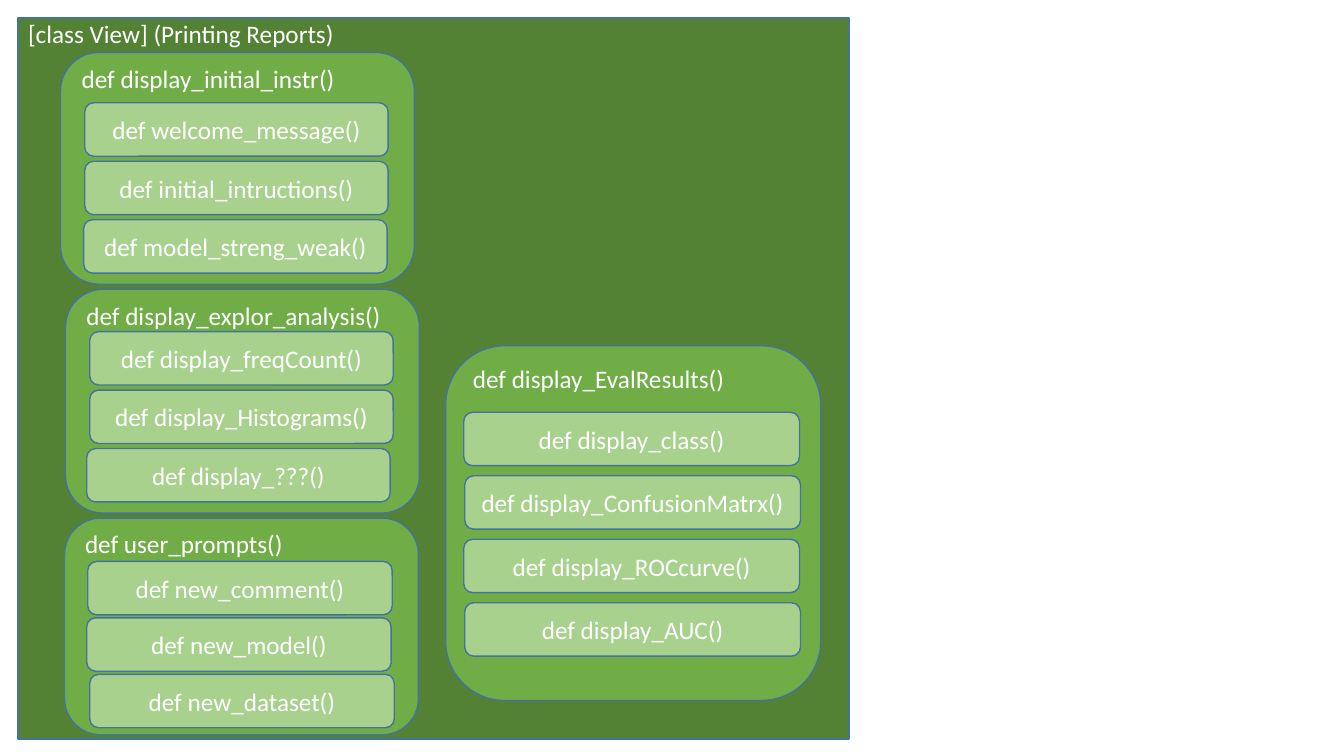
from pptx import Presentation
from pptx.dml.color import RGBColor
from pptx.enum.shapes import MSO_SHAPE
from pptx.enum.text import MSO_ANCHOR, PP_ALIGN
from pptx.util import Inches, Pt

RECTANGLE = MSO_SHAPE.RECTANGLE
ROUNDED = MSO_SHAPE.ROUNDED_RECTANGLE
TOP, MIDDLE = MSO_ANCHOR.TOP, MSO_ANCHOR.MIDDLE
LEFT, CENTER = PP_ALIGN.LEFT, PP_ALIGN.CENTER

DARK_GREEN = RGBColor(0x54, 0x82, 0x35)
GREEN = RGBColor(0x70, 0xAD, 0x47)
LIGHT_GREEN = RGBColor(0xA9, 0xD1, 0x8E)
BLUE = RGBColor(0x43, 0x73, 0x9E)
WHITE = RGBColor(0xFF, 0xFF, 0xFF)

# Each group: title, frame, first method top, pitch, method width,
# then the methods with their left edges
GROUPS = [
    ("def display_initial_instr()", (0.6, 0.52, 3.51, 2.3), 1.02, 0.58, 3.01,
     [("def welcome_message()", 0.84),
      ("def initial_intructions()", 0.84),
      ("def model_streng_weak()", 0.83)]),
    ("def display_explor_analysis()", (0.65, 2.87, 3.51, 2.22), 3.29, 0.58, 3.01,
     [("def display_freqCount()", 0.89),
      ("def display_Histograms()", 0.89),
      ("def display_???()", 0.86)]),
    ("def user_prompts()", (0.64, 5.14, 3.51, 2.15), 5.57, 0.56, 3.02,
     [("def new_comment()", 0.87),
      ("def new_model()", 0.86),
      ("def new_dataset()", 0.89)]),
    ("def display_EvalResults()", (4.42, 3.43, 3.72, 3.52), 4.09, 0.63, 3.33,
     [("def display_class()", 4.6),
      ("def display_ConfusionMatrx()", 4.61),
      ("def display_ROCcurve()", 4.6),
      ("def display_AUC()", 4.61)]),
]
METHOD_HEIGHT = 0.53


def add_box(page, kind, frame, fill, text, anchor=TOP, align=LEFT):
    """Add an outlined box with one line of white text."""
    box = page.shapes.add_shape(kind, *(Inches(length) for length in frame))
    box.shadow.inherit = False
    box.fill.solid()
    box.fill.fore_color.rgb = fill
    box.line.color.rgb = BLUE
    box.line.width = Pt(1)
    box.text_frame.text = text
    box.text_frame.word_wrap = True
    box.text_frame.vertical_anchor = anchor
    if anchor == TOP:
        # Titles sit high enough to clear the boxes below them
        box.text_frame.margin_top = Inches(0)
    para = box.text_frame.paragraphs[0]
    para.alignment = align
    font = para.runs[0].font
    font.name = "Calibri"
    font.size = Pt(18)
    font.color.rgb = WHITE


def add_group(page, title, frame, first_top, pitch, width, methods):
    """Add a titled function box and the methods stacked inside it."""
    add_box(page, ROUNDED, frame, GREEN, title)
    for row, (name, left) in enumerate(methods):
        method_frame = (left, first_top + row * pitch, width, METHOD_HEIGHT)
        add_box(page, ROUNDED, method_frame, LIGHT_GREEN, name, MIDDLE, CENTER)


def main():
    deck = Presentation()
    deck.slide_width = Inches(13.33)
    deck.slide_height = Inches(7.5)
    page = deck.slides.add_slide(deck.slide_layouts[6])

    # Class panel
    add_box(page, RECTANGLE, (0.18, 0.18, 8.24, 7.15), DARK_GREEN,
            "[class View] (Printing Reports)")

    # Function groups
    for group in GROUPS:
        add_group(page, *group)

    deck.save("out.pptx")


main()
